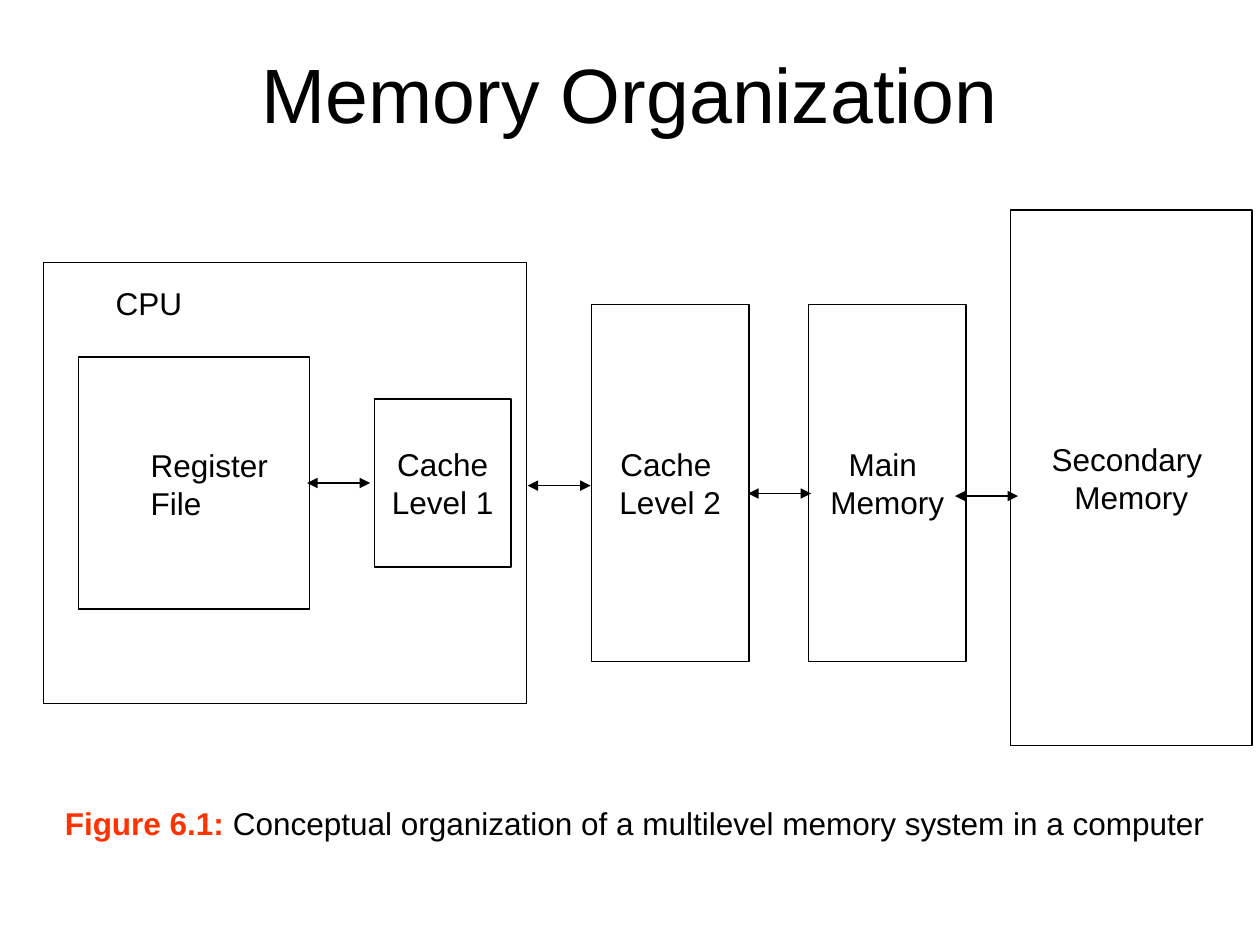
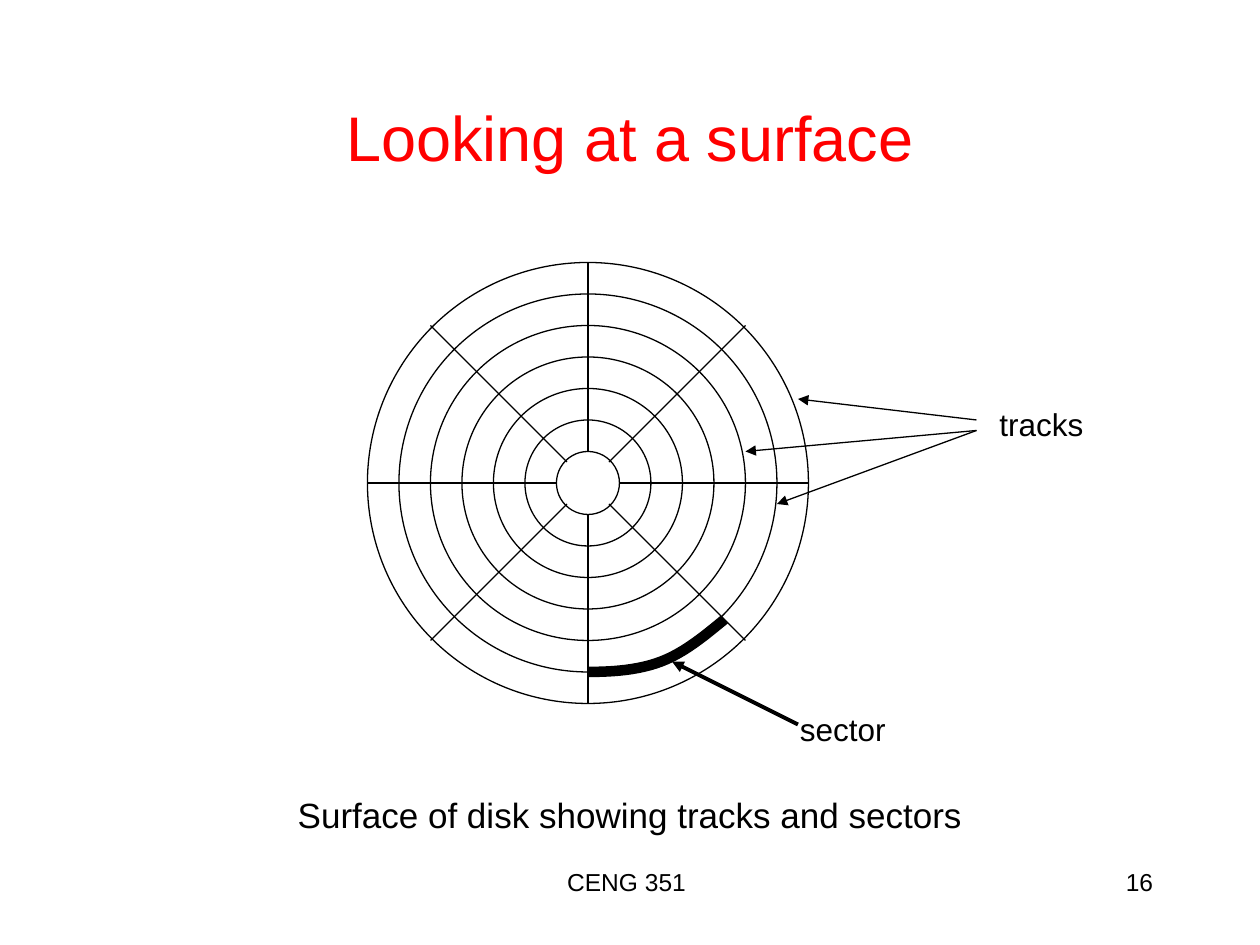
"""Build two slides on memory organization and the surface of a disk."""
from typing import NamedTuple

from lxml.etree import SubElement
from pptx import Presentation
from pptx.dml.color import RGBColor
from pptx.enum.shapes import MSO_CONNECTOR, MSO_SHAPE
from pptx.enum.text import MSO_ANCHOR as Anchor, PP_ALIGN as Align
from pptx.oxml.ns import qn
from pptx.slide import Slide
from pptx.text.text import TextFrame
from pptx.util import Pt

COLORS = {"ink": "000000", "paper": "FFFFFF", "title": "FF0000", "figure": "FF3300"}
FONT = "Arial"
THIN, BOLD, HEAVY = 0.75, 2.25, 6
ARROW_LENGTH = 36
CENTER_X, CENTER_Y = 336, 276
RING_STEP, RING_COUNT = 18, 7


class Label(NamedTuple):
    left: float
    top: float
    width: float
    height: float
    lines: tuple[str, ...]
    size: float = 18
    color: str = "ink"
    align: Align = Align.LEFT
    anchor: Anchor = Anchor.TOP


class Block(NamedTuple):
    left: float
    top: float
    width: float
    height: float
    lines: tuple[str, ...] = ()


class Line(NamedTuple):
    x1: float
    y1: float
    x2: float
    y2: float
    width: float = THIN
    head: bool = False
    tail: bool = False


MEMORY_BLOCKS = (
    Block(25, 150, 276, 252),
    Block(45, 204, 132, 144),
    Block(214, 228, 78, 96, ("Cache", "Level 1")),
    Block(338, 174, 90, 204, ("Cache ", "Level 2")),
    Block(462, 174, 90, 204, ("Main ", "Memory")),
    Block(577.5, 120, 138, 306, ("Secondary ", "Memory")),
)
MEMORY_LABELS = (
    Label(36, 21.5, 648, 63, ("Memory Organization",), 44, "ink", Align.CENTER, Anchor.MIDDLE),
    Label(59, 159, 60, 29, ("CPU",)),
    Label(79, 251.5, 90, 50, ("Register", "File")),
)
BUS_STARTS = ((175.5, 276), (301.5, 277.5), (427.5, 282), (545.75, 283.5))

DISK_LABELS = (
    Label(54, 48, 612, 60, ("Looking at a surface",), 36, "title", Align.CENTER, Anchor.MIDDLE),
    Label(78, 450, 564, 32, ("Surface of disk showing tracks and sectors",), 20, "ink", Align.CENTER),
    Label(450, 402, 108, 29, ("sector",)),
    Label(564, 228, 84, 29, ("tracks",)),
    Label(246, 492, 228, 36, ("CENG 351 ",), 14, "ink", Align.CENTER),
    Label(516, 492, 150, 36, ("16",), 14, "ink", Align.RIGHT),
)
POINTERS = (
    Line(558, 240, 456, 228, tail=True),
    Line(558, 246, 444, 288, tail=True),
    Line(558, 246, 426, 258, tail=True),
    Line(456, 414, 384, 378, BOLD, tail=True),
)
SECTOR_CURVES = (
    ((336, 384), (350.5, 384), (365, 383), (378, 378)),
    ((378, 378), (391, 373), (402.5, 363.5), (414, 354)),
)


def rgb(name: str) -> RGBColor:
    """Return a named colour."""
    return RGBColor.from_string(COLORS[name])


def write(frame: TextFrame, lines: tuple[str, ...], size: float, color: str, align: Align, anchor: Anchor) -> None:
    """Fill a text frame with one paragraph for each line."""
    frame.word_wrap = True
    frame.vertical_anchor = anchor
    for index, text in enumerate(lines):
        para = frame.add_paragraph() if index else frame.paragraphs[0]
        para.text = text
        para.alignment = align
        para.font.name, para.font.size = FONT, Pt(size)
        para.font.color.rgb = rgb(color)


def draw_label(page: Slide, label: Label) -> None:
    """Add a text box."""
    box = page.shapes.add_textbox(*map(Pt, label[:4]))
    write(box.text_frame, *label[4:])


def draw_block(page: Slide, block: Block) -> None:
    """Add an outlined white rectangle with centred text."""
    box = page.shapes.add_shape(MSO_SHAPE.RECTANGLE, *map(Pt, block[:4]))
    box.shadow.inherit = False
    box.fill.solid()
    box.fill.fore_color.rgb = rgb("paper")
    box.line.color.rgb, box.line.width = rgb("ink"), Pt(THIN)
    if block.lines:
        write(box.text_frame, block.lines, 18, "ink", Align.CENTER, Anchor.MIDDLE)


def draw_line(page: Slide, line: Line) -> None:
    """Add a straight line with optional arrowheads."""
    connector = page.shapes.add_connector(MSO_CONNECTOR.STRAIGHT, *map(Pt, line[:4]))
    connector.line.color.rgb, connector.line.width = rgb("ink"), Pt(line.width)
    properties = connector._element.spPr
    outline = properties.get_or_add_ln()
    for tag, shown in (("a:headEnd", line.head), ("a:tailEnd", line.tail)):
        if shown:
            SubElement(outline, qn(tag), type="triangle")
    SubElement(properties, qn("a:effectLst"))


def draw_ring(page: Slide, radius: float) -> None:
    """Add an unfilled circle around the disk centre."""
    ring = page.shapes.add_shape(
        MSO_SHAPE.OVAL, Pt(CENTER_X - radius), Pt(CENTER_Y - radius), Pt(2 * radius), Pt(2 * radius))
    ring.shadow.inherit = False
    ring.fill.background()
    ring.line.color.rgb, ring.line.width = rgb("ink"), Pt(THIN)


def draw_spokes(page: Slide) -> None:
    """Add the eight lines that divide the disk into sectors."""
    for dx in (-1, 0, 1):
        for dy in (-1, 0, 1):
            if dx or dy:
                inner, outer = (12, 90) if dx and dy else (RING_STEP, RING_STEP * RING_COUNT)
                draw_line(page, Line(CENTER_X + dx * inner, CENTER_Y + dy * inner,
                                     CENTER_X + dx * outer, CENTER_Y + dy * outer))


def draw_sector(page: Slide, steps: int = 12) -> None:
    """Add the heavy arc that marks one sector."""
    points = []
    for curve in SECTOR_CURVES:
        for step in range(1, steps + 1):
            t = step / steps
            weights = ((1 - t) ** 3, 3 * t * (1 - t) ** 2, 3 * t ** 2 * (1 - t), t ** 3)
            x, y = (sum(w * value for w, value in zip(weights, axis)) for axis in zip(*curve))
            points.append((Pt(x), Pt(y)))
    builder = page.shapes.build_freeform(*map(Pt, SECTOR_CURVES[0][0]))
    builder.add_line_segments(points, close=False)
    arc = builder.convert_to_shape()
    arc.shadow.inherit = False
    arc.fill.background()
    arc.line.color.rgb, arc.line.width = rgb("ink"), Pt(HEAVY)


def draw_caption(page: Slide) -> None:
    """Add the figure caption with its coloured number."""
    box = page.shapes.add_textbox(Pt(30), Pt(456), Pt(690), Pt(29))
    box.text_frame.word_wrap = True
    para = box.text_frame.paragraphs[0]
    para.font.name, para.font.size = FONT, Pt(18)
    for text, color, bold in (
            ("Figure 6.1:", "figure", True),
            (" Conceptual organization of a multilevel memory system in a computer", "ink", False)):
        span = para.add_run()
        span.text = text
        span.font.bold = bold
        span.font.color.rgb = rgb(color)


def build_memory(page: Slide) -> None:
    """Draw the memory hierarchy slide."""
    for block in MEMORY_BLOCKS:
        draw_block(page, block)
    for label in MEMORY_LABELS:
        draw_label(page, label)
    for x, y in BUS_STARTS:
        draw_line(page, Line(x, y, x + ARROW_LENGTH, y, head=True, tail=True))
    draw_caption(page)


def build_disk(page: Slide) -> None:
    """Draw the disk surface slide."""
    for number in range(RING_COUNT, 0, -1):
        draw_ring(page, number * RING_STEP)
    draw_spokes(page)
    draw_sector(page)
    for pointer in POINTERS:
        draw_line(page, pointer)
    for label in DISK_LABELS:
        draw_label(page, label)


def main() -> None:
    """Create and save the deck."""
    deck = Presentation()
    deck.slide_width, deck.slide_height = Pt(720), Pt(540)
    for build in (build_memory, build_disk):
        build(deck.slides.add_slide(deck.slide_layouts[6]))
    deck.save("out.pptx")


if __name__ == "__main__":
    main()
